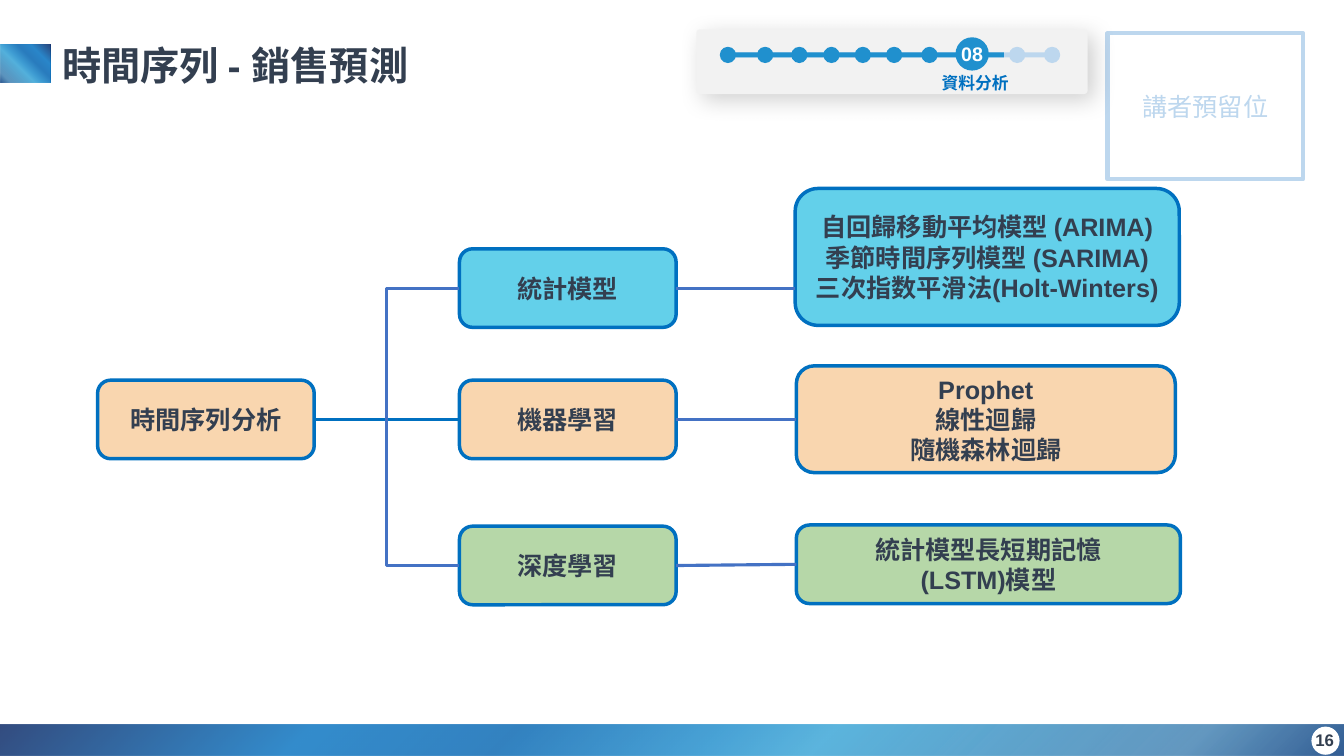
from lxml import etree
from pptx import Presentation
from pptx.dml.color import RGBColor
from pptx.enum.shapes import MSO_CONNECTOR, MSO_SHAPE
from pptx.enum.text import MSO_ANCHOR, PP_ALIGN
from pptx.oxml import parse_xml
from pptx.oxml.ns import nsdecls, qn
from pptx.util import Cm, Pt

RECT, ROUND, OVAL = MSO_SHAPE.RECTANGLE, MSO_SHAPE.ROUNDED_RECTANGLE, MSO_SHAPE.OVAL
STRAIGHT, ELBOW = MSO_CONNECTOR.STRAIGHT, MSO_CONNECTOR.ELBOW
LEFT, CENTER, RIGHT = PP_ALIGN.LEFT, PP_ALIGN.CENTER, PP_ALIGN.RIGHT
TOP, MIDDLE = MSO_ANCHOR.TOP, MSO_ANCHOR.MIDDLE
CJK = "Noto Sans CJK TC"
INK, BLUE, PALE, DOT, WIRE = "333F50", "0070C0", "BDD7EE", "2090CE", "4472C4"
CYAN, PEACH, GREEN, WHITE = "63D0EA", "F9D6AF", "B6D7A8", "FFFFFF"
rgb = RGBColor.from_string


def add_box(shapes, kind, box, fill=None, line=None, width=2.5, alpha=None):
    s = shapes.add_shape(kind, *map(Cm, box))
    s.shadow.inherit = False
    if fill:
        s.fill.solid()
        s.fill.fore_color.rgb = rgb(fill)
    else:
        s.fill.background()
    if alpha:
        clr = s.fill._xPr.find(".//" + qn("a:srgbClr"))
        etree.SubElement(clr, qn("a:alpha")).set("val", str(alpha * 1000))
    if line:
        s.line.color.rgb = rgb(line)
        s.line.width = Pt(width)
    else:
        s.line.fill.background()
    return s


def write(s, text, size=18, color=INK, bold=True, font="Arial", align=CENTER,
          anchor=MIDDLE, spacing=None, inset=0.13):
    tf = s.text_frame
    tf.word_wrap = True
    tf.vertical_anchor = anchor
    tf.margin_left = tf.margin_right = Cm(0.25)
    tf.margin_top = tf.margin_bottom = Cm(inset)
    for i, line in enumerate(text.split("\n")):
        p = tf.add_paragraph() if i else tf.paragraphs[0]
        p.alignment = align
        p.line_spacing = spacing
        r = p.add_run()
        r.text = line
        r.font.size = Pt(size)
        r.font.bold = bold
        r.font.name = font
        r.font.color.rgb = rgb(color)
        etree.SubElement(r.font._element, qn("a:ea")).set("typeface", CJK)


prs = Presentation()
prs.slide_width, prs.slide_height = Cm(33.87), Cm(19.05)
slide = prs.slides.add_slide(prs.slide_layouts[6])
shapes = slide.shapes

speaker = add_box(shapes, RECT, (27.91, 0.84, 4.93, 3.68), line=PALE, width=3)
write(speaker, "講者預留位", color=PALE, bold=False)

STOPS = [(0, "002060", 100), (23, "0070C0", 100), (38, "0063B1", 100),
         (53, "1C8CCC", 100), (61, "34A3D6", 100), (88, "1766A2", 83),
         (100, "003478", 100)]
stops = "".join(
    f'<a:gs pos="{pos * 1000}"><a:srgbClr val="{color}">'
    f'<a:alpha val="{alpha * 1000}"/></a:srgbClr></a:gs>'
    for pos, color, alpha in STOPS)
for box, rotation in [((0, 18.26, 33.87, 0.79), 0), ((0.15, 0.97, 0.97, 1.27), 90)]:
    s = add_box(shapes, RECT, box, BLUE)
    s.rotation = rotation
    solid = s._element.spPr.find(qn("a:solidFill"))
    solid.getparent().replace(solid, parse_xml(
        f'<a:gradFill {nsdecls("a")} rotWithShape="1"><a:gsLst>{stops}</a:gsLst>'
        '<a:lin ang="2700000" scaled="0"/></a:gradFill>'))
add_box(shapes, RECT, (0, 18.26, 33.87, 0.79), WHITE, alpha=20)
add_box(shapes, RECT, (0, 1.12, 1.27, 0.97), WHITE, alpha=16)
add_box(shapes, OVAL, (33.05, 18.31, 0.71, 0.71), WHITE)

NODES = [
    ("時間序列分析", PEACH, (2.46, 9.58, 5.46, 1.98)),
    ("統計模型", CYAN, (11.58, 6.27, 5.46, 1.98)),
    ("機器學習", PEACH, (11.58, 9.58, 5.46, 1.98)),
    ("深度學習", GREEN, (11.58, 13.26, 5.46, 1.98)),
    ("自回歸移動平均模型 (ARIMA)\n季節時間序列模型 (SARIMA)\n三次指数平滑法(Holt-Winters)",
     CYAN, (20.04, 4.75, 9.68, 3.45)),
    ("Prophet\n線性迴歸\n隨機森林迴歸", PEACH, (20.07, 9.22, 9.55, 2.69)),
    ("統計模型長短期記憶\n(LSTM)模型", GREEN, (20.07, 13.23, 9.68, 1.98)),
]
for text, fill, box in NODES:
    write(add_box(shapes, ROUND, box, fill, BLUE), text, inset=0.25)

title = shapes.add_textbox(Cm(1.32), Cm(0.91), Cm(14.91), Cm(1.45))
write(title, "時間序列 - 銷售預測", size=28, align=LEFT, anchor=TOP)

LINKS = [
    (STRAIGHT, BLUE, (7.92, 10.57, 11.58, 10.57)),
    (ELBOW, WIRE, (11.58, 7.26, 9.75, 10.57)),
    (ELBOW, WIRE, (11.58, 14.25, 9.75, 10.57)),
    (STRAIGHT, WIRE, (17.04, 7.26, 20.04, 7.26)),
    (STRAIGHT, WIRE, (17.04, 10.57, 20.07, 10.57)),
    (STRAIGHT, WIRE, (17.04, 14.25, 20.07, 14.22)),
]
for kind, color, ends in LINKS:
    c = shapes.add_connector(kind, *map(Cm, ends))
    c.line.color.rgb = rgb(color)
    c.line.width = Pt(2.25)
    spPr = c._element.spPr
    etree.SubElement(spPr, qn("a:effectLst"))
    if kind == ELBOW:
        spPr.find(qn("a:prstGeom")).set("prst", "bentConnector2")

progress = shapes.add_group_shape().shapes
panel = add_box(progress, ROUND, (17.55, 0.74, 9.86, 1.63), "F2F2F2")
panel.adjustments[0] = 0.055
panel._element.spPr.find(qn("a:effectLst")).append(parse_xml(
    f'<a:outerShdw {nsdecls("a")} blurRad="215900" dist="76200" dir="2700000" '
    'algn="tl" rotWithShape="0"><a:srgbClr val="000000"><a:alpha val="18000"/>'
    '</a:srgbClr></a:outerShdw>'))
add_box(progress, RECT, (18.47, 1.32, 8.2, 0.13), PALE)
add_box(progress, RECT, (18.39, 1.32, 6.91, 0.13), DOT)
add_box(progress, OVAL, (24.08, 0.94, 0.84, 0.84), DOT)
for color, lefts in [(DOT, (18.14, 19.08, 19.94, 20.75, 21.54, 22.33, 23.22)),
                     (PALE, (25.43, 26.31))]:
    for left in lefts:
        add_box(progress, OVAL, (left, 1.18, 0.41, 0.41), color)
number = progress.add_textbox(Cm(22.81), Cm(0.99), Cm(3.38), Cm(1.3))
write(number, "08", size=14, color=WHITE, anchor=TOP, spacing=0.9)
label = progress.add_textbox(Cm(23.42), Cm(1.75), Cm(2.31), Cm(0.89))
write(label, "資料分析", size=12, color=BLUE, font=CJK, anchor=TOP, spacing=0.9)

page = shapes.add_textbox(Cm(26.25), Cm(18.14), Cm(7.62), Cm(1.02))
write(page, "16", size=12, align=RIGHT)

prs.save("out.pptx")
